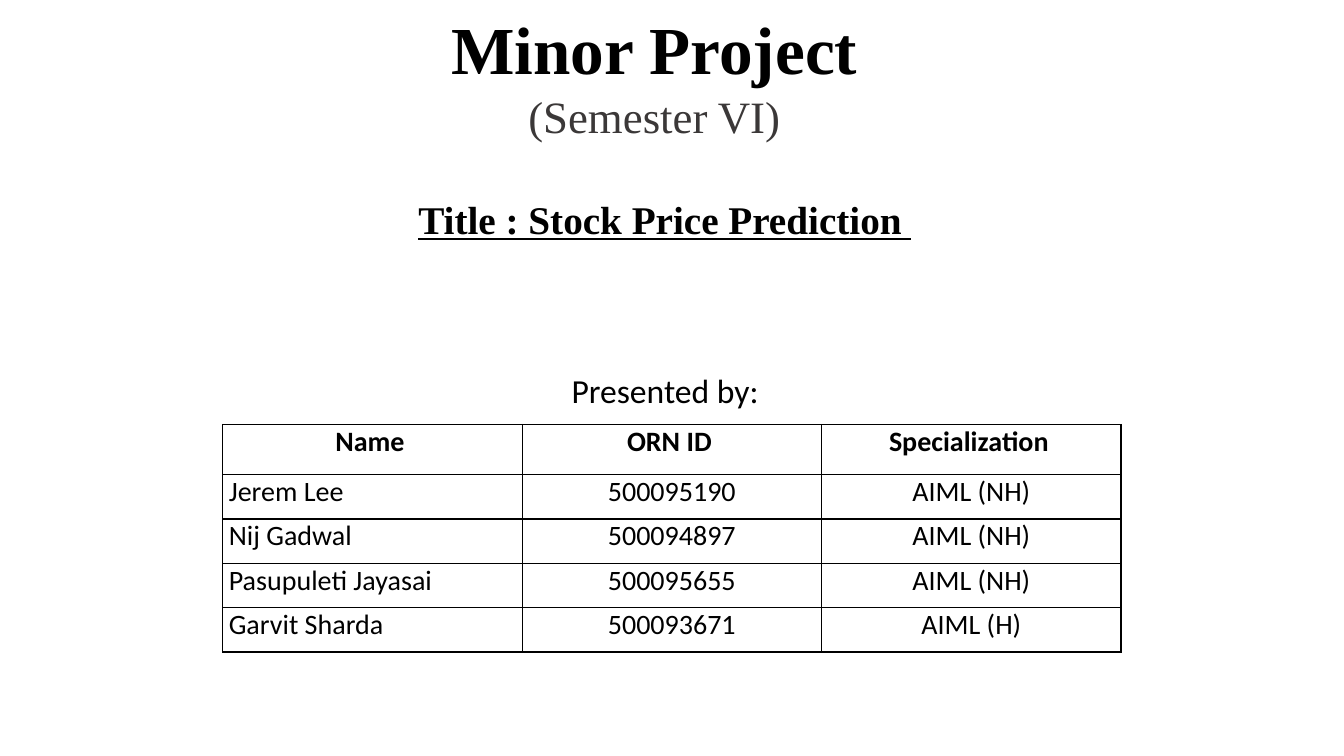
from dataclasses import dataclass

from lxml import etree
from pptx import Presentation
from pptx import util as u
from pptx.dml.color import RGBColor
from pptx.enum import text
from pptx.oxml.ns import qn

COLORS = {"black": "000000", "gray": "3B3838"}
SERIF = "Times New Roman"
SANS = "Calibri"
LEFT, CENTER = text.PP_ALIGN.LEFT, text.PP_ALIGN.CENTER
TOP, BOTTOM = text.MSO_ANCHOR.TOP, text.MSO_ANCHOR.BOTTOM


@dataclass
class Line:
    text: str
    size: int
    font: str = SERIF
    color: str = "black"
    bold: bool = False
    underline: bool = False


@dataclass
class Box:
    left: float
    top: float
    width: float
    height: float
    lines: list[Line]
    align: text.PP_ALIGN = LEFT
    anchor: text.MSO_ANCHOR = TOP


@dataclass
class Member:
    name: str
    member_id: str
    specialization: str


BOXES = [
    Box(2.93, -0.51, 7.12, 1.97,
        [Line("Minor Project", 48, bold=True), Line("(Semester VI)", 32, color="gray")],
        CENTER, BOTTOM),
    Box(5.57, 3.62, 2.19, 0.5, [Line("Presented by:", 24, SANS)]),
    Box(4.05, 1.89, 5.58, 0.57,
        [Line("Title : Stock Price Prediction ", 28, bold=True, underline=True)]),
]

MEMBERS = [
    Member("Jerem Lee", "500095190", "AIML (NH)"),
    Member("Nij Gadwal", "500094897", "AIML (NH)"),
    Member("Pasupuleti Jayasai", "500095655", "AIML (NH)"),
    Member("Garvit Sharda", "500093671", "AIML (H)"),
]


def add_text(p, content: str, *, size: int, font: str, color: str = "black",
             bold: bool = False, underline: bool = False) -> None:
    r = p.add_run()
    r.text = content
    r.font.size = u.Pt(size)
    r.font.name = font
    r.font.bold = bold
    r.font.underline = underline
    r.font.color.rgb = RGBColor.from_string(COLORS[color])


def add_box(s, box: Box) -> None:
    sp = s.shapes.add_textbox(u.Inches(box.left), u.Inches(box.top),
                              u.Inches(box.width), u.Inches(box.height))
    tf = sp.text_frame
    tf.word_wrap = True
    tf.vertical_anchor = box.anchor
    p = tf.paragraphs[0]
    p.alignment = box.align
    for i, line in enumerate(box.lines):
        if i:
            p.add_line_break()
        add_text(p, line.text, size=line.size, font=line.font, color=line.color,
                 bold=line.bold, underline=line.underline)


def add_borders(cell) -> None:
    tc_pr = cell._tc.get_or_add_tcPr()
    for i, side in enumerate(("lnL", "lnR", "lnT", "lnB")):
        ln = etree.Element(qn(f"a:{side}"), w=str(u.Pt(1)))
        fill = etree.SubElement(ln, qn("a:solidFill"))
        etree.SubElement(fill, qn("a:srgbClr"), val=COLORS["black"])
        tc_pr.insert(i, ln)


def add_cell(cell, content: str, align: text.PP_ALIGN, bold: bool) -> None:
    cell.margin_left = cell.margin_top = cell.margin_bottom = 0
    cell.margin_right = u.Inches(0.06)
    cell.fill.background()
    add_borders(cell)
    p = cell.text_frame.paragraphs[0]
    p.alignment = align
    p._p.get_or_add_pPr().set("marL", str(u.Inches(0.01 if bold else 0.06)))
    add_text(p, content, size=20, font=SANS, bold=bold)


def add_members(s, members: list[Member]) -> None:
    rows = [("Name", "ORN ID", "Specialization")]
    rows += [(m.name, m.member_id, m.specialization) for m in members]
    table = s.shapes.add_table(len(rows), 3, u.Inches(2.21), u.Inches(4.21),
                               u.Inches(8.91), u.Inches(2.26)).table
    table.horz_banding = False
    table.first_row = False
    for col in table.columns:
        col.width = u.Inches(2.97)
    for i, row in enumerate(rows):
        header = i == 0
        table.rows[i].height = u.Inches(0.5 if header else 0.44)
        for j, content in enumerate(row):
            align = CENTER if header or j else LEFT
            add_cell(table.cell(i, j), content, align, header)


def main() -> None:
    prs = Presentation()
    prs.slide_width, prs.slide_height = u.Inches(13.33), u.Inches(7.5)
    s = prs.slides.add_slide(prs.slide_layouts[6])
    add_members(s, MEMBERS)
    for box in BOXES:
        add_box(s, box)
    prs.save("out.pptx")


if __name__ == "__main__":
    main()
